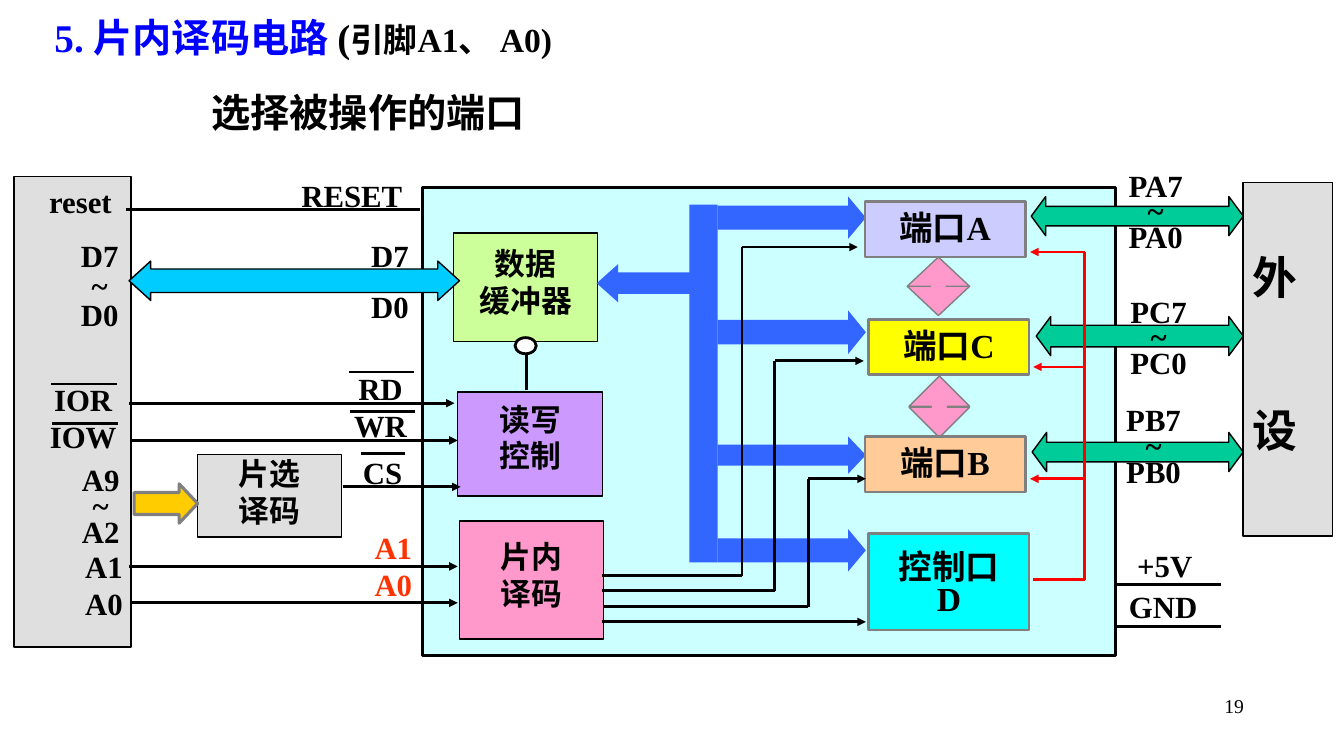
"""Build the slide on the on-chip decoding circuit of a parallel interface."""
from lxml.etree import SubElement
from pptx import Presentation
from pptx.dml.color import RGBColor
from pptx.enum.shapes import MSO_CONNECTOR, MSO_SHAPE
from pptx.enum.text import MSO_ANCHOR, MSO_AUTO_SIZE, PP_ALIGN
from pptx.oxml.ns import qn
from pptx.util import Pt

FONT = "Times New Roman"
COLORS = {
    "black": "000000", "white": "FFFFFF", "gray": "808080", "silver": "C0C0C0",
    "title": "0000FF", "red": "FF0000", "orange_red": "FF3300", "chip": "CCFFFF",
    "bus": "3366FF", "data": "00CCFF", "port_bus": "00CC99", "gold": "FFCC00",
    "pink": "FF99CC", "lime": "CCFF99", "violet": "CC99FF", "cyan": "00FFFF",
    "lilac": "CCCCFF", "yellow": "FFFF00", "peach": "FFCC99",
}
LEFT, CENTER, RIGHT = PP_ALIGN.LEFT, PP_ALIGN.CENTER, PP_ALIGN.RIGHT

TITLE = [("5. 片内译码电路 ", 28, "title"), ("(", 28, "black"), ("引脚A1、 A0)", 24, "black")]
SUBTITLE = "选择被操作的端口"
PAGE_NUMBER = "19"

PANELS = [
    (10.1, 126, 83.5, 336.2, "silver", 1),
    (301.7, 133.9, 495.4, 334.1, "chip", 2),
]
DEVICE = (887.8, 130.3, 64.1, 252.7)
DEVICE_LINES = ["外", "设"]

BLOCKS = [
    (141.1, 324.7, 103, 59, "silver", ["片选", "译码"], 0),
    (324, 166.3, 103, 77.8, "lime", ["数据", "缓冲器"], 8.6),
    (326.9, 280.1, 103.7, 74.2, "violet", ["读写", "控制"], 5.8),
    (328.3, 372.2, 103, 84.2, "pink", ["片内", "译码"], 12),
]
PORT_WIDTH = 114.5
PORTS = [
    (617.8, 144, 39.6, "lilac", ["端口A"], 0.7, 11.5),
    (620.6, 228.2, 39.6, "yellow", ["端口C"], 0.7, 11.5),
    (617.8, 311.8, 39.6, "peach", ["端口B"], 0.7, 11.5),
    (620.6, 380.9, 69.1, "cyan", ["控制口", "D"], 0.8, 14.4),
]

BUS_TRUNK = (492.5, 146.2, 20.2, 255.6)
BUS_BRANCHES = [(140.4, 30.2), (221.8, 31), (311.8, 26.6), (378, 30.2)]
BUS_HEAD = 12.6
BUFFER_ARROW = (426.2, 188.6, 71.3, 27.4)
CHIP_SELECT_ARROW = (95.8, 345.6, 45.4, 28.1)
DATA_ARROW = (92.2, 186.5, 236, 28.1)
PORT_ARROWS = [(736.6, 140.4, 0.5), (740.2, 226.1, 0.55), (737.3, 308.9, 0.5)]
PORT_ARROW_END = 888.1
LINK_ARROWS = [(648, 183.6, 44.6, 41.8, 0.25), (649.4, 268.6, 43.2, 43.9, 0.27)]

DATA_LABELS = [(174.2, "D7"), (210.6, "D0")]
LABELS = [
    (23, 130.3, 69, ["reset"], CENTER, 1, "black"),
    (36.7, 174.2, 69, ["D7", "~", "D0"], CENTER, 0.8, "black"),
    (37.4, 336.2, 69, ["A9", "~", "A2"], CENTER, 0.7, "black"),
    (18.7, 391, 69, ["A1", "A0"], RIGHT, 1, "black"),
    (25.9, 272.2, 67, ["IOR", "IOW"], CENTER, 1, "black"),
    (249.8, 324, 46.8, ["CS"], CENTER, 1, "black"),
    (196.6, 126, 109.4, ["RESET"], CENTER, 1, "black"),
    (225.4, 378, 69, ["A1", "A0"], RIGHT, 1, "orange_red"),
    (238.3, 264.2, 67, ["RD", "WR"], CENTER, 1, "black"),
    (794.9, 126, 61.2, ["PA7", "~", "PA0"], CENTER, 0.7, "black"),
    (797, 216, 61.2, ["PC7", "~", "PC0"], CENTER, 0.7, "black"),
    (793.4, 293.8, 61.2, ["PB7", "~", "PB0"], CENTER, 0.7, "black"),
    (797.5, 390.2, 69, ["+5V"], CENTER, 1, "black"),
    (796.3, 419.8, 69, ["GND"], CENTER, 1, "black"),
]

OVERLINES = [(36.7, 274.3, 46.8), (37.4, 302.4, 46.8), (249.1, 265.7, 46.8),
             (249.8, 293.8, 46.8), (257.8, 324, 31.7)]
PLAIN_LINES = [(90, 149.8, 210.2), (796.3, 417.6, 75.6), (796.3, 447.8, 75.6)]
INPUT_ARROWS = [(92.2, 288, 232.5), (94.3, 314.6, 232.6), (244.8, 347.8, 84.2),
                (92.2, 404.6, 234.7), (93.6, 430.6, 233.3), (429.8, 444.2, 188.7)]
SELECT_ROUTES = [(429.8, 411.1, 530, 176.5, 612.7), (429.8, 421.9, 553.5, 257.8, 617),
                 (431.3, 433.4, 577.4, 342, 618.5)]
FEEDBACK_X = 774.7
FEEDBACK_START = (738, 414)
FEEDBACK_ENDS = [(735.8, 180), (738, 262.1), (735.8, 342)]
ENABLE_LINE = (375.8, 253.4, 278.6)
ENABLE_BUBBLE = (367.9, 241.2, 15.1, 11.5)


def rgb(name):
    return RGBColor.from_string(COLORS[name])


def add_span(para, text, size, color="black", bold=True):
    span = para.add_run()
    span.text = text
    span.font.name, span.font.size, span.font.bold = FONT, Pt(size), bold
    span.font.color.rgb = rgb(color)


def prepare(frame, inset=(0, 0)):
    frame.word_wrap = True
    frame.auto_size = MSO_AUTO_SIZE.NONE
    frame.vertical_anchor = MSO_ANCHOR.TOP
    frame.margin_left, frame.margin_top = (Pt(side) for side in inset)
    frame.margin_right = frame.margin_bottom = 0


def write(frame, lines, size=22, align=CENTER, spacing=1, color="black",
          inset=(0, 0), bold=True, gap=0):
    prepare(frame, inset)
    for index, line in enumerate(lines):
        para = frame.add_paragraph() if index else frame.paragraphs[0]
        para.alignment, para.line_spacing = align, spacing
        if index:
            para.space_before = Pt(gap)
        add_span(para, line, size, color, bold)


def add_text(page, left, top, width, height, lines, **style):
    box = page.shapes.add_textbox(Pt(left), Pt(top), Pt(width), Pt(height))
    write(box.text_frame, lines, **style)


def draw(page, kind, place, fill, line=None, weight=1, adjust=()):
    shape = page.shapes.add_shape(kind, *(Pt(length) for length in place))
    shape.shadow.inherit = False
    shape.fill.solid()
    shape.fill.fore_color.rgb = rgb(fill)
    if fill == "silver":
        color = shape.fill._xPr.find(qn("a:solidFill"))[0]
        SubElement(color, qn("a:alpha"), val="50000")
    if line:
        shape.line.color.rgb = rgb(line)
        shape.line.width = Pt(weight)
    else:
        shape.line.fill.background()
    for index, value in enumerate(adjust):
        shape.adjustments[index] = value
    return shape


def wire(page, start_x, start_y, end_x, end_y, color="black", arrow=False):
    line = page.shapes.add_connector(
        MSO_CONNECTOR.STRAIGHT, Pt(start_x), Pt(start_y), Pt(end_x), Pt(end_y))
    line.line.color.rgb = rgb(color)
    line.line.width = Pt(2)
    if arrow:
        SubElement(line.line._get_or_add_ln(), qn("a:tailEnd"), type="triangle")
    SubElement(line._element.spPr, qn("a:effectLst"))


def add_headings(page):
    title = page.shapes.title
    title.left, title.top, title.width, title.height = Pt(31.7), Pt(5.8), Pt(591.8), Pt(41)
    prepare(title.text_frame, (7.2, 3.6))
    para = title.text_frame.paragraphs[0]
    para.alignment = LEFT
    for text, size, color in TITLE:
        add_span(para, text, size, color)
    add_text(page, 144, 59.8, 400.3, 41, [SUBTITLE], size=28, align=LEFT, inset=(7.2, 3.6))
    add_text(page, 688.3, 491.8, 200.2, 36, [PAGE_NUMBER], size=14, align=RIGHT,
             inset=(7.2, 3.6), bold=False)


def add_blocks(page):
    for *place, fill, weight in PANELS:
        draw(page, MSO_SHAPE.RECTANGLE, place, fill, "black", weight)
    for top, text in DATA_LABELS:
        add_text(page, 244.1, top, 69, 25, [text], spacing=0.8)
    device = draw(page, MSO_SHAPE.RECTANGLE, DEVICE, "silver", "black")
    write(device.text_frame, DEVICE_LINES, size=32, align=LEFT, inset=(7.2, 48), gap=71)
    for *place, fill, lines, inset in BLOCKS:
        block = draw(page, MSO_SHAPE.RECTANGLE, place, fill, "black")
        write(block.text_frame, lines, inset=(0, inset))


def add_arrows(page):
    right, both = MSO_SHAPE.RIGHT_ARROW, MSO_SHAPE.LEFT_RIGHT_ARROW
    draw(page, MSO_SHAPE.RECTANGLE, BUS_TRUNK, "bus")
    for top, height in BUS_BRANCHES:
        place = (BUS_TRUNK[0] + BUS_TRUNK[2], top, 105.8, height)
        draw(page, right, place, "bus", adjust=(0.565, BUS_HEAD / height))
    draw(page, right, BUFFER_ARROW, "bus", adjust=(0.56, 0.56)).rotation = 180
    draw(page, right, CHIP_SELECT_ARROW, "gold", "gray", 2.25, (0.56, 0.47))
    draw(page, both, DATA_ARROW, "data", "black", adjust=(0.6, 0.55))
    for left, top, shaft in PORT_ARROWS:
        place = (left, top, PORT_ARROW_END - left, 28)
        draw(page, both, place, "port_bus", "black", adjust=(shaft, 0.37))
    for *place, head in LINK_ARROWS:
        draw(page, MSO_SHAPE.UP_DOWN_ARROW, place, "pink", "gray", adjust=(0.5, head))
    for left, top, height, fill, lines, spacing, inset in PORTS:
        place = (left, top, PORT_WIDTH, height)
        port = draw(page, MSO_SHAPE.RECTANGLE, place, fill, "gray", 2)
        write(port.text_frame, lines, size=24, spacing=spacing, inset=(0, inset))


def add_wires(page):
    for left, top, length in OVERLINES + PLAIN_LINES:
        wire(page, left, top, left + length, top)
    for left, top, length in INPUT_ARROWS:
        wire(page, left, top, left + length, top, arrow=True)
    for left, low, turn, high, end in SELECT_ROUTES:
        wire(page, left, low, turn, low)
        wire(page, turn, low, turn, high)
        wire(page, turn, high, end, high, arrow=True)
    wire(page, *FEEDBACK_START, FEEDBACK_X, FEEDBACK_START[1], "red")
    wire(page, FEEDBACK_X, FEEDBACK_START[1], FEEDBACK_X, FEEDBACK_ENDS[0][1], "red")
    for end, height in FEEDBACK_ENDS:
        wire(page, FEEDBACK_X, height, end, height, "red", True)
    center, top, bottom = ENABLE_LINE
    wire(page, center, bottom, center, top)
    draw(page, MSO_SHAPE.OVAL, ENABLE_BUBBLE, "white", "black", 2)


def main():
    deck = Presentation()
    deck.slide_width, deck.slide_height = Pt(960), Pt(540)
    page = deck.slides.add_slide(deck.slide_layouts[5])
    add_headings(page)
    add_blocks(page)
    add_arrows(page)
    for left, top, width, lines, align, spacing, color in LABELS:
        add_text(page, left, top, width, 25 * len(lines), lines,
                 align=align, spacing=spacing, color=color)
    add_wires(page)
    deck.save("out.pptx")


if __name__ == "__main__":
    main()
